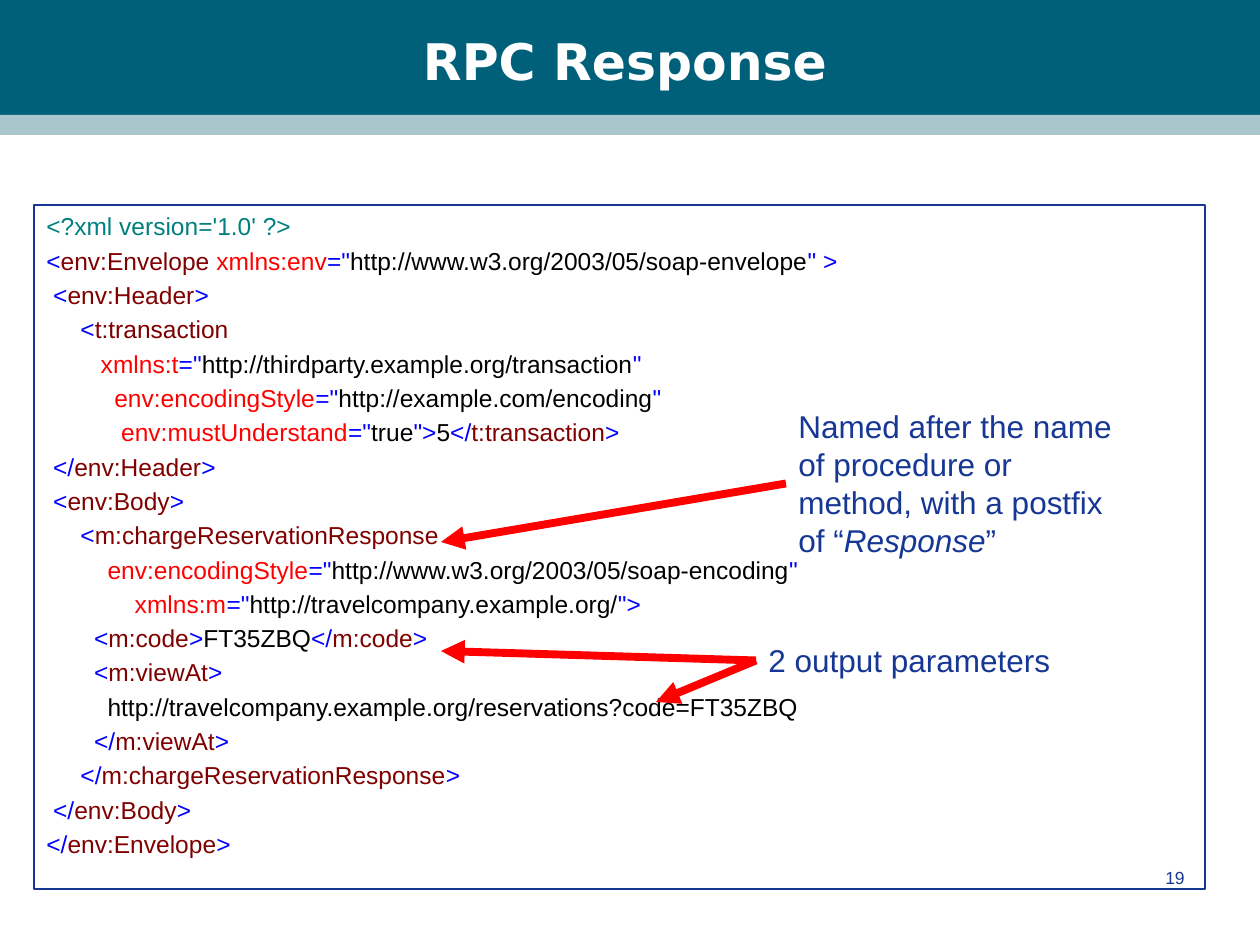
from dataclasses import dataclass
from itertools import groupby

from lxml import etree
from pptx import Presentation
from pptx import util as u
from pptx.dml.color import RGBColor
from pptx.enum import shapes, text
from pptx.oxml.ns import qn

SCALE = 914400 / 126


@dataclass(frozen=True)
class Theme:
    banner: str = "00607A"
    stripe: str = "A9C6CC"
    title: str = "FFFFFF"
    ink: str = "163794"
    arrow: str = "FF0000"
    declaration: str = "008080"
    mark: str = "0000FF"
    tag: str = "800000"
    attribute: str = "FF0000"
    value: str = "000000"
    title_font: str = "DejaVu Sans"
    body_font: str = "Arial"
    title_size: float = 28.8
    code_size: float = 14
    code_leading: float = 16.8
    code_gap: float = 2.8
    note_size: float = 18
    note_leading: float = 21.7
    number_size: float = 10


RESPONSE_XML = """\
<?xml version='1.0' ?>
<env:Envelope xmlns:env="http://www.w3.org/2003/05/soap-envelope" >
 <env:Header>
     <t:transaction
        xmlns:t="http://thirdparty.example.org/transaction"
          env:encodingStyle="http://example.com/encoding"
           env:mustUnderstand="true">5</t:transaction>
 </env:Header>
 <env:Body>
     <m:chargeReservationResponse
         env:encodingStyle="http://www.w3.org/2003/05/soap-encoding"
             xmlns:m="http://travelcompany.example.org/">
       <m:code>FT35ZBQ</m:code>
       <m:viewAt>
         http://travelcompany.example.org/reservations?code=FT35ZBQ
       </m:viewAt>
     </m:chargeReservationResponse>
 </env:Body>
</env:Envelope>"""


def px(length):
    return u.Emu(round(length * SCALE))


def rgb(color):
    return RGBColor.from_string(color)


def highlight(source, theme):
    state = "content"
    colors = {"content": theme.value, "value": theme.value, "tag": theme.tag,
              "attribute": theme.attribute, "declaration": theme.declaration}
    for line in source.splitlines():
        colored = []
        if line.startswith("<?"):
            state = "declaration"
        for char in line:
            is_mark = False
            if state == "content" and char == "<":
                state, is_mark = "tag", True
            elif state == "tag" and char == "/":
                is_mark = True
            elif state in ("tag", "attribute") and char == ">":
                state, is_mark = "content", True
            elif state == "tag" and char == " ":
                state = "attribute"
            elif state == "attribute" and char == "=":
                is_mark = True
            elif state in ("attribute", "value") and char == '"':
                state = "value" if state == "attribute" else "attribute"
                is_mark = True
            colored.append((theme.mark if is_mark else colors[state], char))
        if state == "declaration":
            state = "content"
        yield [("".join(char for _, char in group), color)
               for color, group in groupby(colored, key=lambda pair: pair[0])]


class SlideBuilder:
    def __init__(self, slide, theme):
        self.slide = slide
        self.theme = theme

    def box(self, left, top, width, height, fill=None, line=None):
        box = self.slide.shapes.add_shape(
            shapes.MSO_SHAPE.RECTANGLE, px(left), px(top), px(width), px(height))
        box.shadow.inherit = False
        if fill:
            box.fill.solid()
            box.fill.fore_color.rgb = rgb(fill)
        else:
            box.fill.background()
        if line:
            box.line.color.rgb = rgb(line)
            box.line.width = u.Pt(1.5)
        else:
            box.line.fill.background()
        return box

    def style(self, paragraph, size, color=None, font=None, leading=None):
        paragraph.font.name = font or self.theme.body_font
        paragraph.font.size = u.Pt(size)
        if color:
            paragraph.font.color.rgb = rgb(color)
        if leading:
            paragraph.line_spacing = u.Pt(leading)

    def label(self, left, top, width, height, runs, size, color, font=None,
              align=text.PP_ALIGN.LEFT, anchor=text.MSO_ANCHOR.TOP,
              bold=None, leading=None):
        label = self.slide.shapes.add_textbox(
            px(left), px(top), px(width), px(height))
        frame = label.text_frame
        frame.word_wrap = True
        frame.vertical_anchor = anchor
        paragraph = frame.paragraphs[0]
        paragraph.alignment = align
        self.style(paragraph, size, color, font, leading)
        paragraph.font.bold = bold
        for wording, italic in runs:
            run = paragraph.add_run()
            run.text = wording
            if italic:
                run.font.italic = True
        return label

    def note(self, left, top, width, height, *runs):
        theme = self.theme
        return self.label(left, top, width, height, runs, theme.note_size,
                          theme.ink, leading=theme.note_leading)

    def code(self, left, top, width, height, source):
        theme = self.theme
        frame = self.box(left, top, width, height, line=theme.ink).text_frame
        frame.word_wrap = True
        frame.vertical_anchor = text.MSO_ANCHOR.TOP
        for index, pieces in enumerate(highlight(source, theme)):
            paragraph = frame.add_paragraph() if index else frame.paragraphs[0]
            paragraph.alignment = text.PP_ALIGN.LEFT
            paragraph.space_before = u.Pt(theme.code_gap if index else 0)
            self.style(paragraph, theme.code_size, leading=theme.code_leading)
            for wording, color in pieces:
                run = paragraph.add_run()
                run.text = wording
                run.font.color.rgb = rgb(color)

    def arrow(self, note, x, y):
        arrow = self.slide.shapes.add_connector(
            shapes.MSO_CONNECTOR.STRAIGHT, note.left, note.top, px(x), px(y))
        arrow.begin_connect(note, 1)
        arrow.line.color.rgb = rgb(self.theme.arrow)
        arrow.line.width = u.Pt(4.5)
        etree.SubElement(arrow.line._get_or_add_ln(), qn("a:tailEnd"), type="triangle")
        etree.SubElement(arrow._element.spPr, qn("a:effectLst"))


def main():
    deck = Presentation()
    deck.slide_width, deck.slide_height = px(1260), px(945)
    theme = Theme()
    page = SlideBuilder(deck.slides.add_slide(deck.slide_layouts[6]), theme)

    page.box(0, 0, 1260, 115, fill=theme.banner)
    page.box(0, 115, 1260, 20, fill=theme.stripe)
    page.label(42, 21, 1166, 78, [("RPC Response", False)], theme.title_size,
               theme.title, theme.title_font, text.PP_ALIGN.CENTER,
               text.MSO_ANCHOR.MIDDLE, bold=True)
    page.label(903, 861, 294, 63, [("19", False)], theme.number_size,
               theme.ink, align=text.PP_ALIGN.RIGHT)
    page.code(34, 205, 1171, 684, RESPONSE_XML)

    outputs = page.note(756, 635, 311, 51, ("2 output parameters", False))
    naming = page.note(
        786, 401, 340, 165,
        ("Named after the name of procedure or method, with a postfix of “", False),
        ("Response", True), ("”", False))
    for note, x, y in ((outputs, 441, 651), (outputs, 656, 702), (naming, 441, 542)):
        page.arrow(note, x, y)

    deck.save("out.pptx")


if __name__ == "__main__":
    main()
